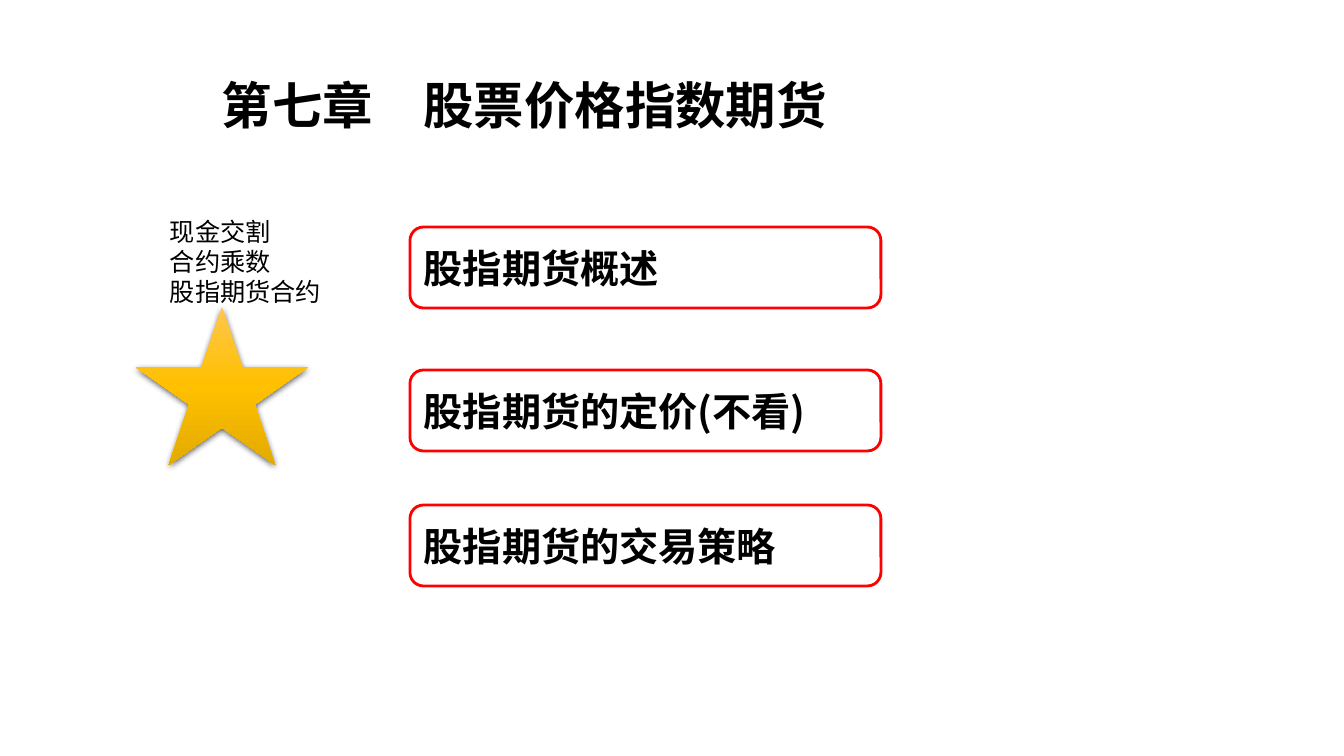
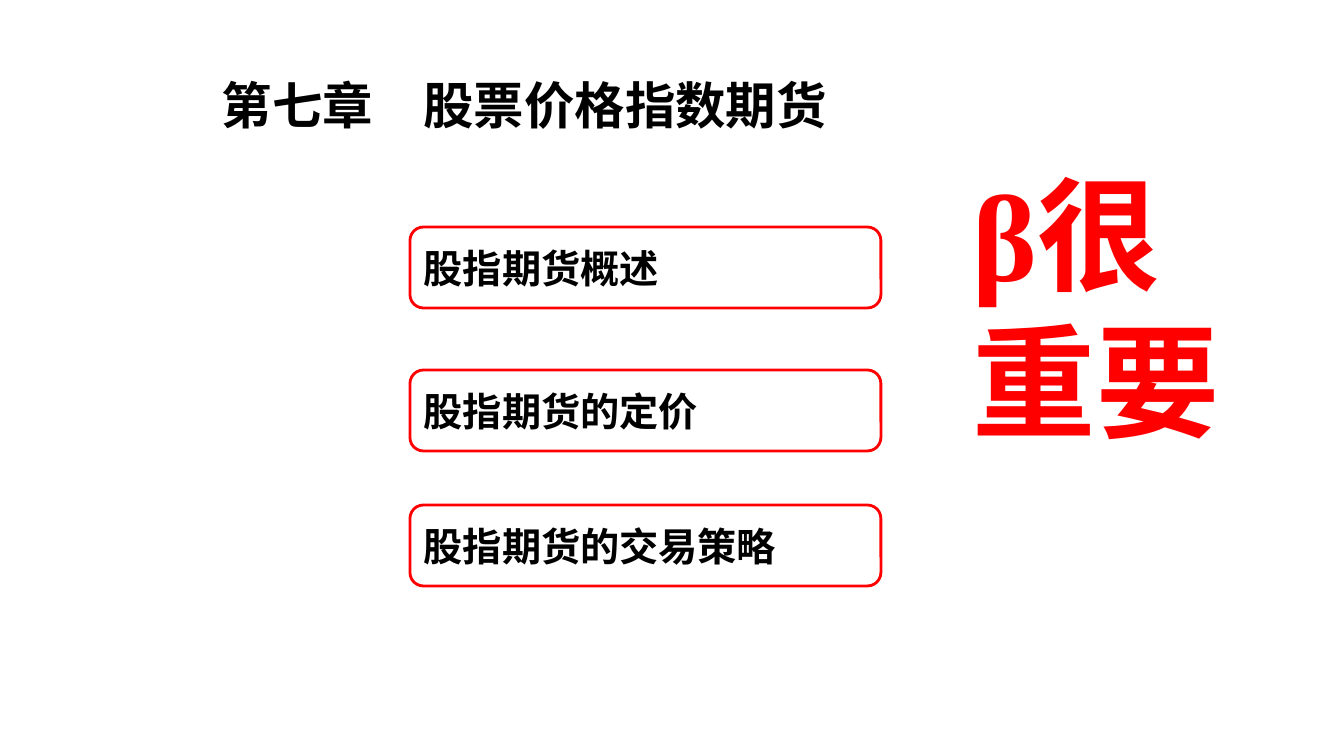
import dataclasses
import typing

import lxml.etree
import pptx
import pptx.dml.color
import pptx.enum.shapes
import pptx.enum.text
import pptx.oxml.ns
import pptx.util
import copy

SCALE = 12192000 / 1344
KIND = pptx.enum.shapes.MSO_SHAPE
FIT = pptx.enum.text.MSO_AUTO_SIZE
ANCHOR = pptx.enum.text.MSO_ANCHOR


@dataclasses.dataclass(frozen=True)
class Theme:
    black: str = "000000"
    red: str = "FF0000"
    gold: tuple = ("FFC64B", "FFC000", "E3AB00")
    sans: str = "Noto Sans CJK SC"
    head: str = "Arial"
    serif: str = "Times New Roman"
    title: int = 36
    item: int = 28
    note: int = 18
    huge: int = 88
    line: int = 2


THEME = Theme()


class Box(typing.NamedTuple):
    left: int
    top: int
    width: int
    height: int


@dataclasses.dataclass(frozen=True)
class Style:
    size: int
    font: str
    color: str = THEME.black
    bold: bool = True


@dataclasses.dataclass(frozen=True)
class Label:
    text: str
    box: Box
    style: Style


ITEM = Style(THEME.item, THEME.sans)
TITLE = Label("第七章\u3000股票价格指数期货", Box(212, 69, 881, 71), Style(THEME.title, THEME.head))
NOTE = Label("现金交割\n合约乘数\n股指期货合约", Box(160, 211, 180, 102),
             Style(THEME.note, THEME.sans, bold=False))
BETA = Label("β很重要", Box(963, 153, 303, 308), Style(THEME.huge, THEME.serif, THEME.red))
STAR = Box(136, 307, 172, 158)
TOPS = (227, 370, 505)


def emu(box: Box) -> list[pptx.util.Emu]:
    return [pptx.util.Emu(round(side * SCALE)) for side in box]


def rgb(code: str) -> pptx.dml.color.RGBColor:
    return pptx.dml.color.RGBColor.from_string(code)


def write(frame, text: str, style: Style) -> None:
    frame.text = text
    frame.word_wrap = True
    for para in frame.paragraphs:
        para.alignment = pptx.enum.text.PP_ALIGN.LEFT
        for run in para.runs:
            font = run.font
            font.name = style.font
            font.size = pptx.util.Pt(style.size)
            font.bold = style.bold
            font.color.rgb = rgb(style.color)
            east = lxml.etree.Element(pptx.oxml.ns.qn("a:ea"), typeface=THEME.sans)
            run._r.rPr.find(pptx.oxml.ns.qn("a:latin")).addnext(east)


def add_label(slide, label: Label) -> None:
    frame = slide.shapes.add_textbox(*emu(label.box)).text_frame
    write(frame, label.text, label.style)
    frame.auto_size = FIT.SHAPE_TO_FIT_TEXT


def add_item(slide, text: str, top: int) -> None:
    shape = slide.shapes.add_shape(KIND.FLOWCHART_ALTERNATE_PROCESS, *emu(Box(410, top, 471, 81)))
    shape.shadow.inherit = False
    shape.fill.background()
    shape.line.color.rgb = rgb(THEME.red)
    shape.line.width = pptx.util.Pt(THEME.line)
    write(shape.text_frame, text, ITEM)
    shape.text_frame.vertical_anchor = ANCHOR.MIDDLE


def add_shade(shape) -> None:
    qn = pptx.oxml.ns.qn
    shape.shadow.inherit = False
    group = shape._element.spPr.find(qn("a:effectLst"))
    shade = lxml.etree.SubElement(group, qn("a:outerShdw"), blurRad=str(pptx.util.Pt(4.5)),
                                  dist=str(pptx.util.Pt(1.5)), dir="5400000",
                                  algn="ctr", rotWithShape="0")
    color = lxml.etree.SubElement(shade, qn("a:srgbClr"), val=THEME.black)
    lxml.etree.SubElement(color, qn("a:alpha"), val="63000")


def add_star(slide) -> None:
    star = slide.shapes.add_shape(KIND.STAR_5_POINT, *emu(STAR))
    star.line.fill.background()
    star.fill.gradient()
    star.fill.gradient_angle = 270
    first = star._element.spPr.find(".//" + pptx.oxml.ns.qn("a:gs"))
    first.addnext(copy.deepcopy(first))
    for rank, (stop, code) in enumerate(zip(star.fill.gradient_stops, THEME.gold)):
        stop.color.rgb = rgb(code)
        stop.position = rank / 2
    add_shade(star)


def add_page(deck, items: tuple[str, ...], label: Label):
    slide = deck.slides.add_slide(deck.slide_layouts[6])
    for text, top in zip(items, TOPS):
        add_item(slide, text, top)
    add_label(slide, TITLE)
    add_label(slide, label)
    return slide


def main() -> None:
    deck = pptx.Presentation()
    deck.slide_width, deck.slide_height = emu(Box(0, 0, 1344, 756))[2:]
    first, price, last = "股指期货概述", "股指期货的定价", "股指期货的交易策略"
    add_star(add_page(deck, (first, price + "(不看)", last), NOTE))
    add_page(deck, (first, price, last), BETA)
    deck.save("out.pptx")


main()
